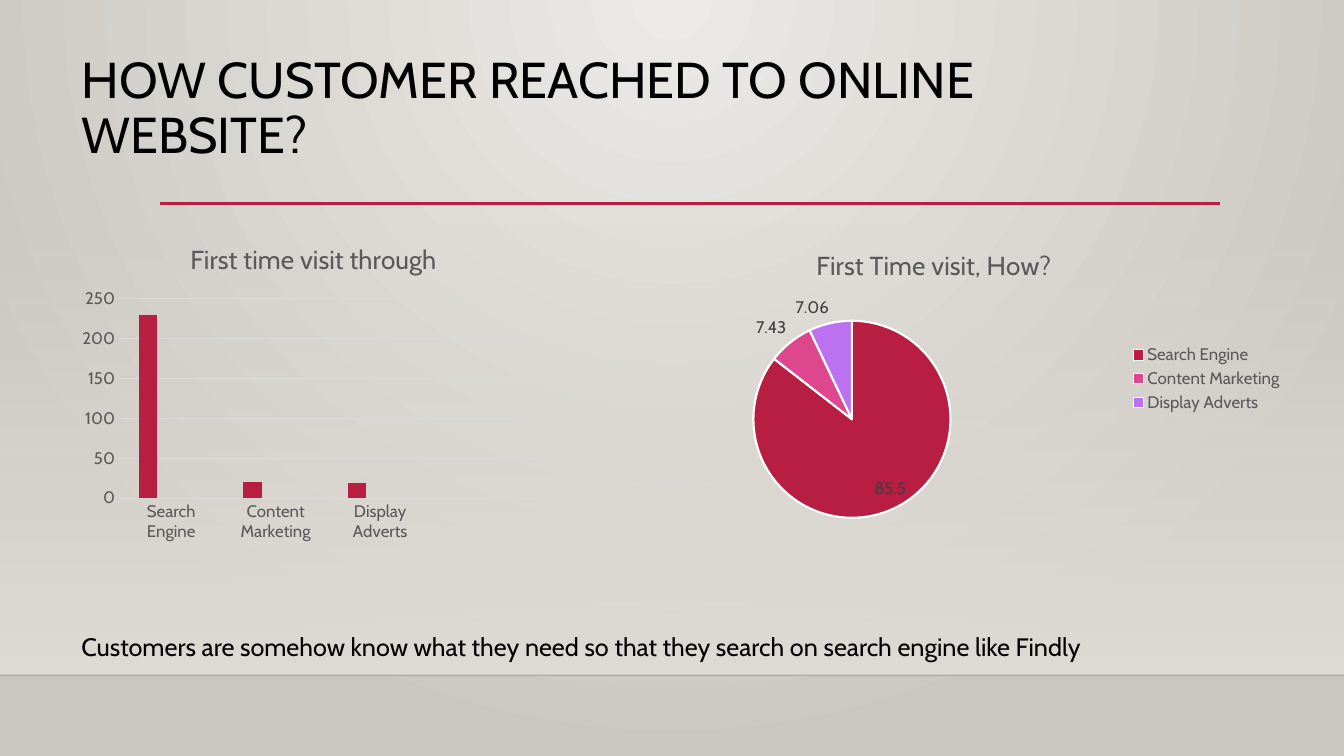
from lxml import etree
from pptx import Presentation
from pptx.chart.data import CategoryChartData
from pptx.dml.color import RGBColor
from pptx.enum.chart import (XL_CHART_TYPE, XL_LABEL_POSITION,
                             XL_LEGEND_POSITION, XL_TICK_MARK)
from pptx.enum.shapes import MSO_CONNECTOR, MSO_SHAPE
from pptx.enum.text import MSO_ANCHOR, MSO_AUTO_SIZE, PP_ALIGN
from pptx.oxml.ns import qn
from pptx.util import Inches, Pt

COLUMN, PIE = XL_CHART_TYPE.COLUMN_CLUSTERED, XL_CHART_TYPE.PIE
BEST_FIT = XL_LABEL_POSITION.BEST_FIT
RIGHT = XL_LEGEND_POSITION.RIGHT
NO_TICK = XL_TICK_MARK.NONE
STRAIGHT = MSO_CONNECTOR.STRAIGHT
RECT = MSO_SHAPE.RECTANGLE
TOP, LEFT = MSO_ANCHOR.TOP, PP_ALIGN.LEFT
GROW = MSO_AUTO_SIZE.SHAPE_TO_FIT_TEXT

FONT = "Cabin"
BLACK, WHITE, GREY, DARK, PALE = "000000", "FFFFFF", "595959", "404040", "D9D9D9"
RED = "B71E42"
COLORS = [RED, "DE478E", "BC72F0", "795FAF"]
# The fourth slot of both charts is left empty
CATS = ["Search Engine", "Content Marketing", "Display Adverts", ""]


def rgb(code):
    return RGBColor.from_string(code)


def child(node, tag, **attrs):
    return etree.SubElement(node, qn(tag), attrs)


class Deck:
    def __init__(self):
        self.prs = Presentation()
        self.prs.slide_width, self.prs.slide_height = Inches(13.33), Inches(7.5)
        self.slide = self.prs.slides.add_slide(self.prs.slide_layouts[5])
        self.shapes = self.slide.shapes

    def style(self, font, size, color):
        font.name, font.size = FONT, Pt(size)
        font.color.rgb = rgb(color)

    def blend(self, fill, first, last):
        fill.gradient()
        for stop, color in zip(fill.gradient_stops, (first, last)):
            stop.color.rgb = rgb(color)

    def backdrop(self, first, last):
        self.blend(self.slide.background.fill, first, last)
        grad = next(self.slide.element.iter(qn("a:gradFill")))
        grad.remove(grad.find(qn("a:lin")))
        circle = child(grad, "a:path", path="circle")
        child(circle, "a:fillToRect", l="43000", t="0", r="43000", b="100000")

    def fade(self, x, y, w, h, color):
        box = self.shapes.add_shape(RECT, *map(Inches, (x, y, w, h)))
        box.shadow.inherit = False
        box.line.fill.background()
        self.blend(box.fill, color, color)
        box.fill.gradient_angle = 270
        child(next(box.element.iter(qn("a:srgbClr"))), "a:alpha", val="0")

    def rule(self, x1, x2, y, color, width, alpha=100):
        line = self.shapes.add_connector(STRAIGHT, *map(Inches, (x1, y, x2, y)))
        line.line.color.rgb, line.line.width = rgb(color), Pt(width)
        child(next(line.element.iter(qn("a:srgbClr"))), "a:alpha",
              val=str(alpha * 1000))
        child(line.element.spPr, "a:effectLst")

    def title(self, x, y, w, h, text):
        box = self.shapes.title
        box.left, box.top, box.width, box.height = map(Inches, (x, y, w, h))
        frame = box.text_frame
        frame.text, frame.vertical_anchor, frame.word_wrap = text, TOP, True
        line = frame.paragraphs[0]
        line.alignment, line.line_spacing = LEFT, 0.9
        self.style(line.runs[0].font, 36, BLACK)

    def text(self, x, y, w, h, text):
        box = self.shapes.add_textbox(*map(Inches, (x, y, w, h)))
        frame = box.text_frame
        frame.text, frame.word_wrap, frame.auto_size = text, False, GROW
        self.style(frame.paragraphs[0].runs[0].font, 18, BLACK)

    def place(self, node, index, **sides):
        for old in node.findall(qn("c:layout")):
            node.remove(old)
        layout = etree.Element(qn("c:layout"))
        manual = child(layout, "c:manualLayout")
        if "w" in sides:
            child(manual, "c:layoutTarget", val="inner")
        for side in "xy":
            child(manual, f"c:{side}Mode", val="edge")
        for side, part in sides.items():
            child(manual, f"c:{side}", val=str(part))
        node.insert(index, layout)

    def chart(self, kind, area, title, rows, head, plot):
        data = CategoryChartData()
        data.categories = CATS
        for n, row in enumerate(rows, 1):
            data.add_series(f"Series {n}", row)
        chart = self.shapes.add_chart(kind, *map(Inches, area), data).chart
        self.style(chart.font, 10, BLACK)
        chart.has_legend = False
        frame = chart.chart_title.text_frame
        frame.text = title
        font = frame.paragraphs[0].runs[0].font
        self.style(font, 18.6, GREY)
        font.bold = False
        chart.chart_title.include_in_layout = False
        root = chart.element.chart
        self.place(root.find(qn("c:title")), 1, **head)
        self.place(root.plotArea, 0, **plot)
        return chart

    def columns(self, *args):
        chart = self.chart(COLUMN, *args)
        plot = chart.plots[0]
        plot.gap_width, plot.overlap, plot.vary_by_categories = 219, -27, False
        for series, color in zip(plot.series, COLORS):
            series.format.fill.solid()
            series.format.fill.fore_color.rgb = rgb(color)
        cat, val = chart.category_axis, chart.value_axis
        for axis in (cat, val):
            axis.major_tick_mark = axis.minor_tick_mark = NO_TICK
            self.style(axis.tick_labels.font, 12, GREY)
        val.minimum_scale, val.maximum_scale, val.major_unit = 0, 250, 50
        val.format.line.fill.background()
        for line in (cat.format.line, val.major_gridlines.format.line):
            line.color.rgb, line.width = rgb(PALE), Pt(0.75)

    def pie(self, *args):
        chart = self.chart(PIE, *args)
        plot = chart.plots[0]
        plot.vary_by_categories = True
        series = plot.series[0]
        for n, color in enumerate(COLORS):
            form = series.points[n].format
            form.fill.solid()
            form.fill.fore_color.rgb = rgb(color)
            form.line.color.rgb, form.line.width = rgb(WHITE), Pt(1.5)
        labels = series.data_labels
        labels.show_value, labels.position = True, BEST_FIT
        self.style(labels.font, 12, DARK)
        # Legend without the empty slot
        chart.has_legend = True
        legend = chart.legend
        legend.position, legend.include_in_layout = RIGHT, False
        self.style(legend.font, 12, GREY)
        entry = etree.Element(qn("c:legendEntry"))
        child(entry, "c:idx", val="3")
        child(entry, "c:delete", val="1")
        chart.element.chart.find(qn("c:legend")).insert(1, entry)


def main():
    deck = Deck()

    # Backdrop and rules
    deck.backdrop("ECEAE7", "CAC7C1")
    deck.fade(0, 2.21, 13.33, 4.49, "DFDBD5")
    deck.rule(0, 13.33, 6.7, "000001", 1, 20)
    deck.rule(1.59, 12.1, 2.02, RED, 2.5)

    # Title
    deck.title(0.71, 0.5, 10.64, 1.53, "HOW CUSTOMER REACHED TO ONLINE WEBSITE?")

    # Charts
    blank = [None] * len(CATS)
    deck.columns((0.71, 2.22, 4.71, 3.24), "First time visit through",
                 [[230, 20, 19, None], blank, blank],
                 dict(x=0.24, y=0.04), dict(x=0.1, y=0.23, w=0.88, h=0.61))
    deck.pie((5.59, 2.22, 7.24, 3.08), "First Time visit, How?",
             [[85.5, 7.43, 7.06, None]],
             dict(x=0.34, y=0.06), dict(x=0.26, y=0.31, w=0.27, h=0.64))

    # Finding
    deck.text(0.71, 6.21, 12.01, 0.4,
              "Customers are somehow know what they need so that they "
              "search on search engine like Findly")

    deck.prs.save("out.pptx")


if __name__ == "__main__":
    main()
